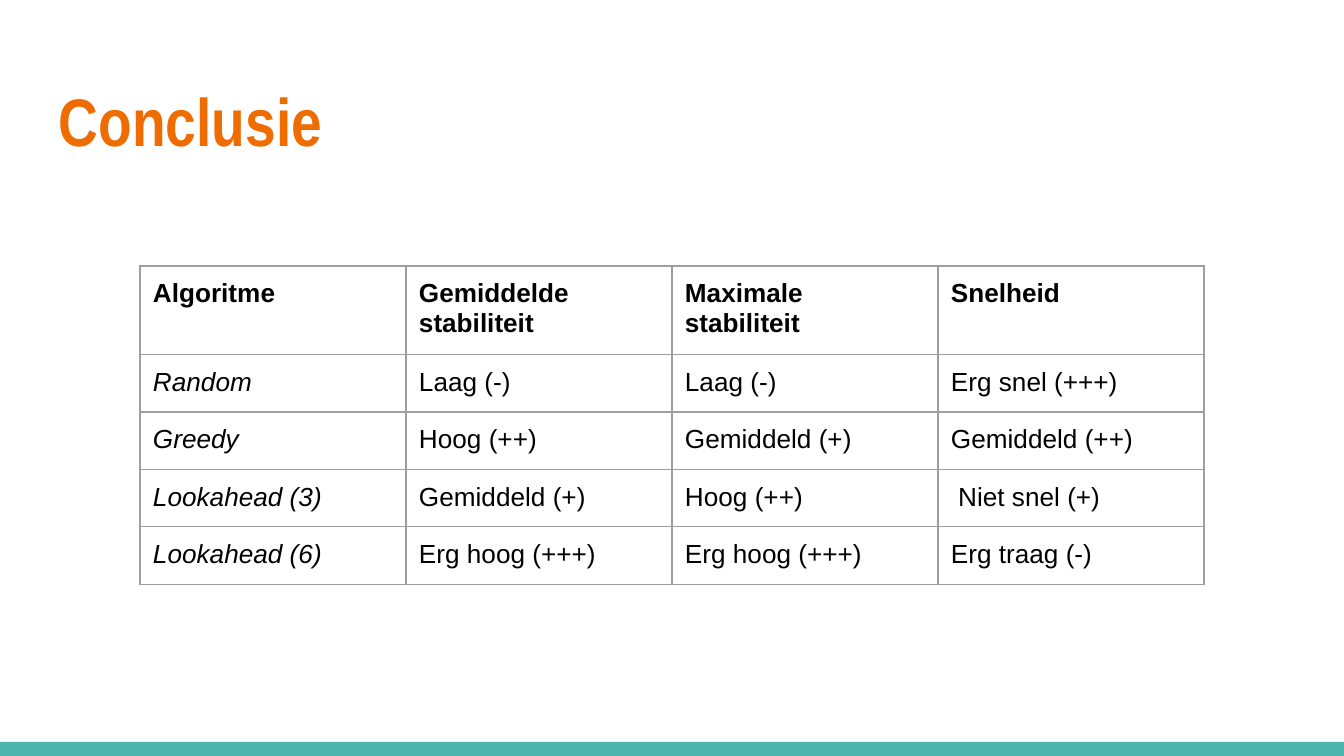
from lxml import etree
from pptx import Presentation
from pptx import util as u
from pptx.dml.color import RGBColor
from pptx.enum import shapes, text
from pptx.oxml.ns import qn

SCALE = 914400 / 134.4  # EMU per px
COLORS = {"title": "EF6C00", "bar": "4DB6AC", "text": "000000", "border": "9E9E9E"}
INSET = 13


def px(length):
    return u.Emu(round(length * SCALE))


def add_span(para, words, font, size, color, bold=False, italic=False):
    span = para.add_run()
    span.text = words
    span.font.name = font
    span.font.size = u.Pt(size)
    span.font.bold = bold
    span.font.italic = italic
    span.font.color.rgb = RGBColor.from_string(COLORS[color])


deck = Presentation()
deck.slide_width, deck.slide_height = px(1344), px(756)
page = deck.slides.add_slide(deck.slide_layouts[6])

# Bottom bar
bar = page.shapes.add_shape(shapes.MSO_SHAPE.RECTANGLE, px(0), px(742), px(1344), px(14))
bar.shadow.inherit = False
bar.fill.solid()
bar.fill.fore_color.rgb = RGBColor.from_string(COLORS["bar"])
bar.line.fill.background()

# Title
title = page.shapes.add_textbox(px(46), px(66), px(1253), px(103))
frame = title.text_frame
frame.word_wrap = True
frame.vertical_anchor = text.MSO_ANCHOR.TOP
frame.margin_left = frame.margin_right = px(INSET)
frame.margin_top = frame.margin_bottom = px(INSET)
add_span(frame.paragraphs[0], "Conclusie", "Arial Narrow", 36, "title", bold=True)

# Comparison table
rows = [
    ["Algoritme", "Gemiddelde stabiliteit", "Maximale stabiliteit", "Snelheid"],
    ["Random", "Laag (-)", "Laag (-)", "Erg snel (+++)"],
    ["Greedy", "Hoog (++)", "Gemiddeld (+)", "Gemiddeld (++)"],
    ["Lookahead (3)", "Gemiddeld (+)", "Hoog (++)", " Niet snel (+)"],
    ["Lookahead (6)", "Erg hoog (+++)", "Erg hoog (+++)", "Erg traag (-)"],
]
heights = [85, 56, 56, 56, 56]
table = page.shapes.add_table(
    len(rows), len(rows[0]), px(140), px(266), px(4 * 266), px(sum(heights))
).table
table.first_row = table.horz_banding = False
for column in table.columns:
    column.width = px(266)

for r, words in enumerate(rows):
    table.rows[r].height = px(heights[r])
    for c, word in enumerate(words):
        cell = table.cell(r, c)
        cell.margin_left = cell.margin_right = px(INSET)
        cell.margin_top = cell.margin_bottom = px(INSET)
        add_span(cell.text_frame.paragraphs[0], word, "Arial", 14, "text",
                 bold=r == 0, italic=r > 0 and c == 0)

        # Borders come before the fill in the cell properties
        props = cell._tc.get_or_add_tcPr()
        for side in ("a:lnL", "a:lnR", "a:lnT", "a:lnB"):
            line = etree.SubElement(props, qn(side), w=str(u.Pt(0.75)))
            fill = etree.SubElement(line, qn("a:solidFill"))
            etree.SubElement(fill, qn("a:srgbClr"), val=COLORS["border"])
        cell.fill.background()

deck.save("out.pptx")
